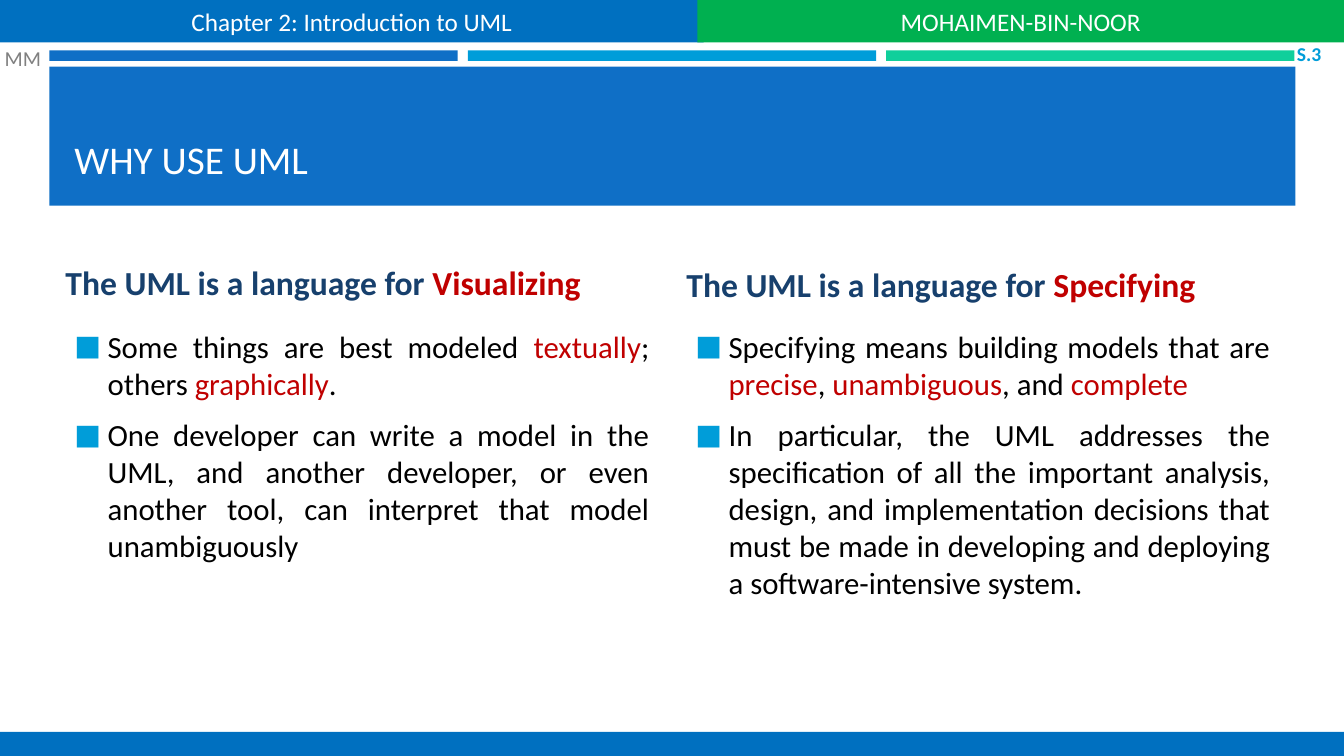
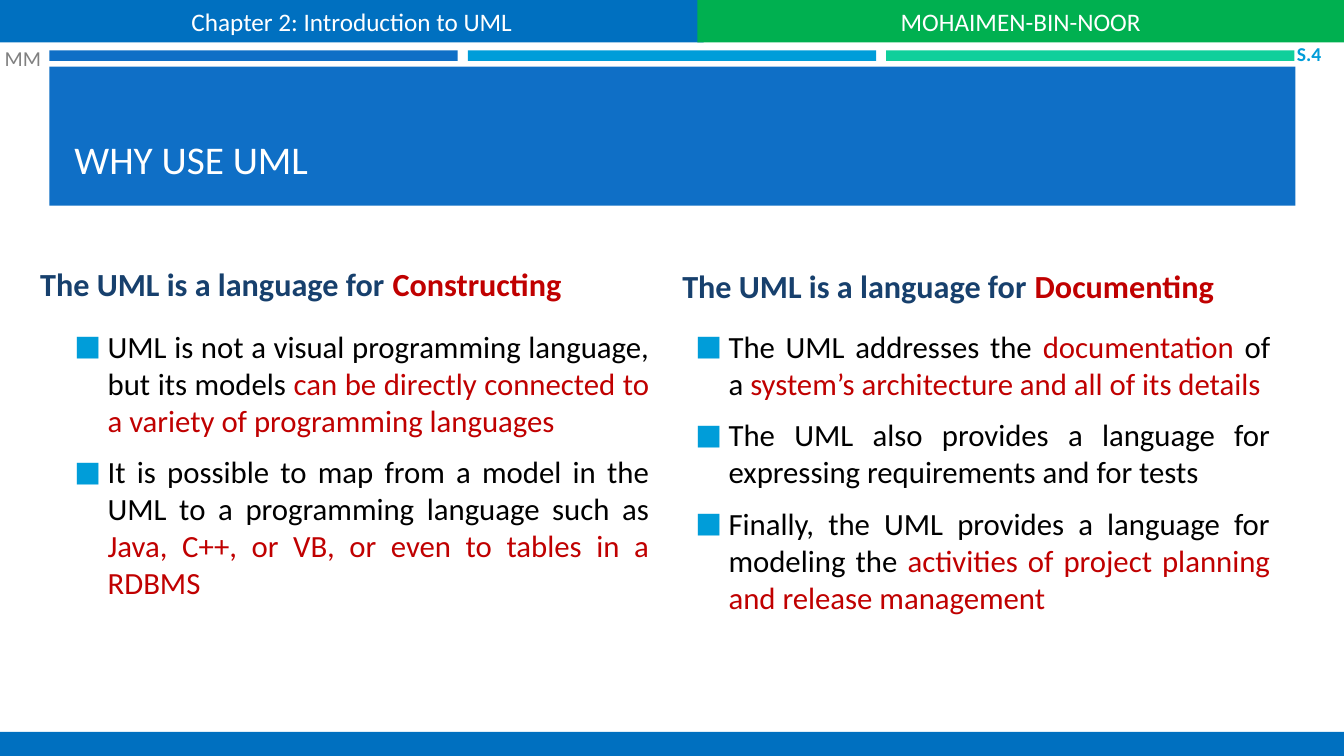
import lxml.etree
import pptx
import pptx.dml.color
import pptx.enum.shapes
import pptx.enum.text
import pptx.oxml.ns
import pptx.util

COLOURS = {
    "panel": "0F6FC6", "sky": "009DD9", "mint": "10CF9B", "bar": "0070C0",
    "author": "00B050", "heading": "17406D", "accent": "C00000",
    "body": "000000", "light": "FFFFFF", "muted": "808080",
}
FONT = "Calibri"
ALIGN = pptx.enum.text.PP_ALIGN
ANCHOR = pptx.enum.text.MSO_ANCHOR

deck = pptx.Presentation()
deck.slide_width = pptx.util.Inches(13.33)
deck.slide_height = pptx.util.Inches(7.5)
column = deck.slide_width / 100
row = deck.slide_height / 100


def add_block(page, left, top, width, height, fill=None):
    area = (round(left * column), round(top * row), round(width * column), round(height * row))
    if fill is None:
        return page.shapes.add_textbox(*area)
    block = page.shapes.add_shape(pptx.enum.shapes.MSO_SHAPE.RECTANGLE, *area)
    block.shadow.inherit = False
    block.fill.solid()
    block.fill.fore_color.rgb = pptx.dml.color.RGBColor.from_string(COLOURS[fill])
    block.line.fill.background()
    return block


def write(box, paragraphs, size, colour, align=ALIGN.LEFT, anchor=ANCHOR.MIDDLE,
          bold=False, bullets=False, inset=True):
    frame = box.text_frame
    frame.word_wrap = True
    frame.vertical_anchor = anchor
    if not inset:
        frame.margin_left = frame.margin_right = frame.margin_top = frame.margin_bottom = 0
    for index, text in enumerate(paragraphs):
        para = frame.paragraphs[0] if index == 0 else frame.add_paragraph()
        para.alignment = align
        if bullets:
            para.space_after = pptx.util.Pt(6)
            if index:
                para.space_before = pptx.util.Pt(size * 0.2)
            properties = para._p.get_or_add_pPr()
            indent = pptx.util.Inches(0.33)
            properties.set("marL", str(indent))
            properties.set("indent", str(-indent))
            tint = lxml.etree.SubElement(properties, pptx.oxml.ns.qn("a:buClr"))
            lxml.etree.SubElement(tint, pptx.oxml.ns.qn("a:srgbClr"), val=COLOURS["sky"])
            lxml.etree.SubElement(properties, pptx.oxml.ns.qn("a:buSzPct"), val="92000")
            lxml.etree.SubElement(properties, pptx.oxml.ns.qn("a:buFont"), typeface=FONT)
            lxml.etree.SubElement(properties, pptx.oxml.ns.qn("a:buChar"), char="■")
        for part, words in enumerate(text.split("|")):
            if words:
                span = para.add_run()
                span.text = words
                span.font.name = FONT
                span.font.size = pptx.util.Pt(size)
                span.font.bold = bold
                shade = COLOURS["accent" if part % 2 else colour]
                span.font.color.rgb = pptx.dml.color.RGBColor.from_string(shade)


# Words between bars take the accent colour.
SLIDES = [
    {
        "number": "S.3", "size": 24, "align": ALIGN.LEFT,
        "headings": [(4.13, 44.85, "Visualizing"), (50.33, 44.85, "Specifying")],
        "bodies": [
            ["Some things are best modeled |textually|; others |graphically|.",
             "One developer can write a model in the UML, and another developer, "
             "or even another tool, can interpret that model unambiguously"],
            ["Specifying means building models that are |precise|, |unambiguous|, and |complete|",
             "In particular, the UML addresses the specification of all the important "
             "analysis, design, and implementation decisions that must be made in "
             "developing and deploying a software-intensive system."],
        ],
    },
    {
        "number": "S.4", "size": 23, "align": ALIGN.JUSTIFY,
        "headings": [(2.25, 46.73, "Constructing"), (50.03, 47.7, "Documenting")],
        "bodies": [
            ["UML is not a visual programming language, but its models "
             "|can be directly connected to a variety of programming languages|",
             "It is possible to map from a model in the UML to a programming language "
             "such as |Java, C++, or VB, or even to tables in a RDBMS|"],
            ["The UML addresses the |documentation| of a "
             "|system’s architecture and all of its details|",
             "The UML also provides a language for expressing requirements and for tests",
             "Finally, the UML provides a language for modeling the "
             "|activities of project planning and release management|"],
        ],
    },
]

for content in SLIDES:
    page = deck.slides.add_slide(deck.slide_layouts[6])

    for index, fill in enumerate(["panel", "sky", "mint"]):
        add_block(page, 3.68 + 31.13 * index, 6.67, 30.38, 1.4, fill)
    add_block(page, 3.68, 8.8, 92.7, 18.4, "panel")
    title = add_block(page, 4.8, 10.67, 90.45, 14.13)
    write(title, ["WHY USE UML"], 28, "light", anchor=ANCHOR.BOTTOM)

    for index, (left, width, topic) in enumerate(content["headings"]):
        heading = add_block(page, left, 32.8, width, 7.87 + 0.26 * index)
        write(heading, [f"The UML is a language for |{topic}|"], content["size"],
              "heading", content["align"], ANCHOR.BOTTOM, bold=True)
        body = add_block(page, 4.8 + 46.2 * index, 42.67, 44.25, 42.8)
        write(body, content["bodies"][index], 22, "body", ALIGN.JUSTIFY,
              ANCHOR.TOP, bullets=True)

    initials = add_block(page, 0.35, 5.73, 3.3, 4)
    write(initials, ["MM"], 15.2, "muted", inset=False)
    number = add_block(page, 96.5, 5.73, 3.2, 2.8)
    write(number, [content["number"]], 14, "sky", bold=True, inset=False)

    add_block(page, 0, 96.8, 100, 3.2, "bar")
    chapter = add_block(page, 0, 0, 52.35, 5.6, "bar")
    write(chapter, ["Chapter 2: Introduction to UML"], 18, "light", ALIGN.CENTER)
    author = add_block(page, 51.9, 0, 48.1, 5.6, "author")
    write(author, ["MOHAIMEN-BIN-NOOR"], 18, "light", ALIGN.CENTER)

deck.save("out.pptx")
